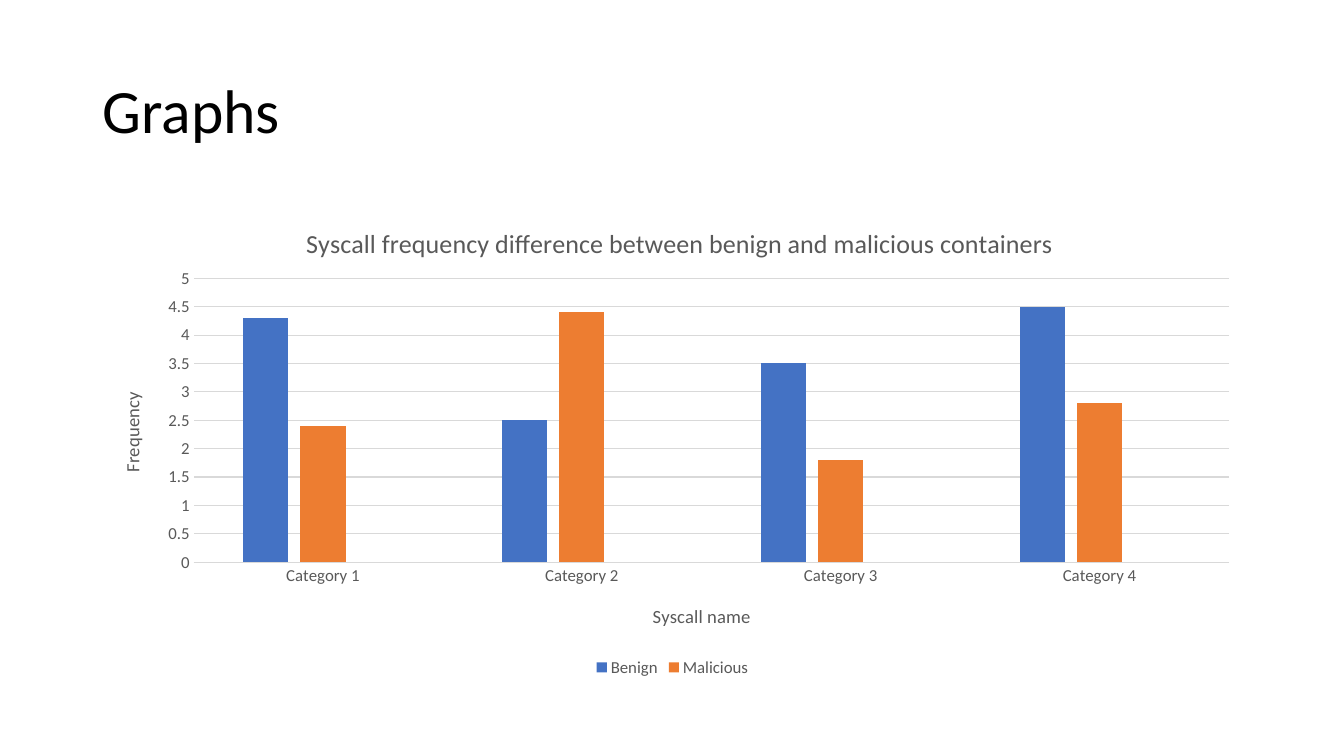
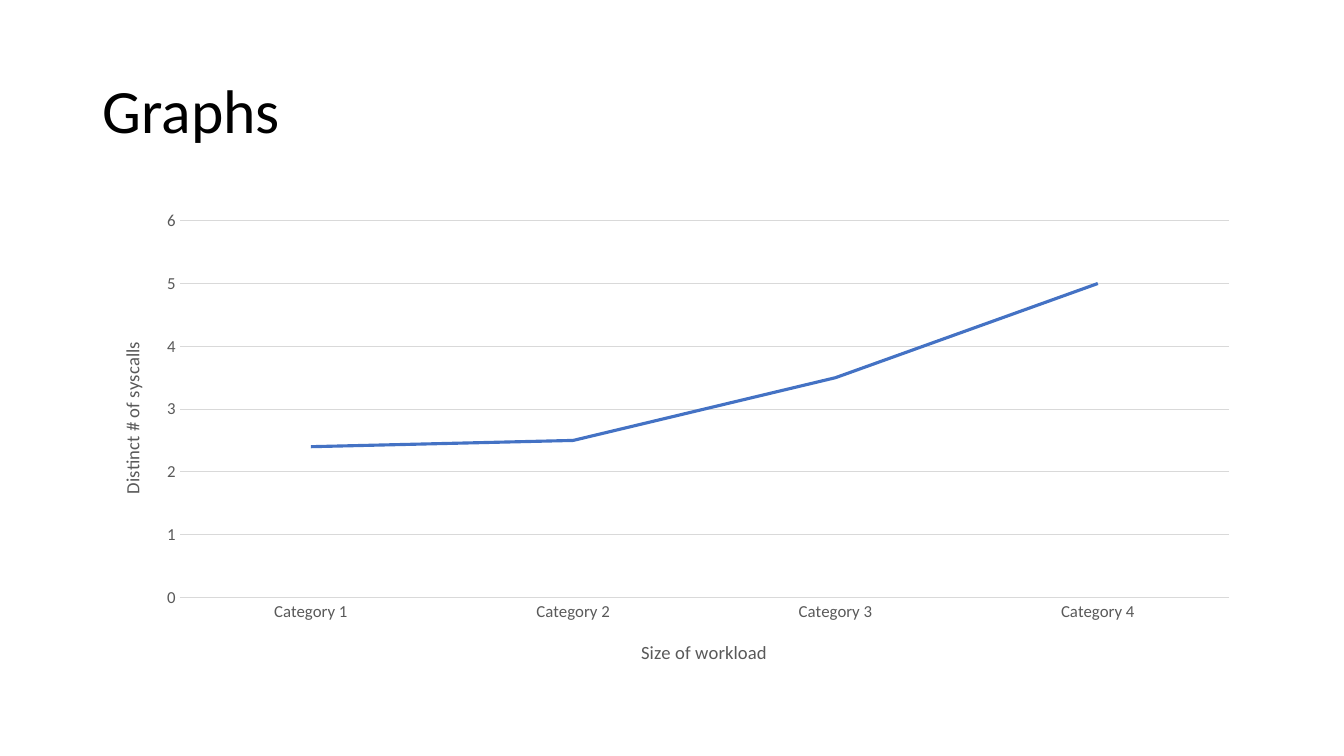
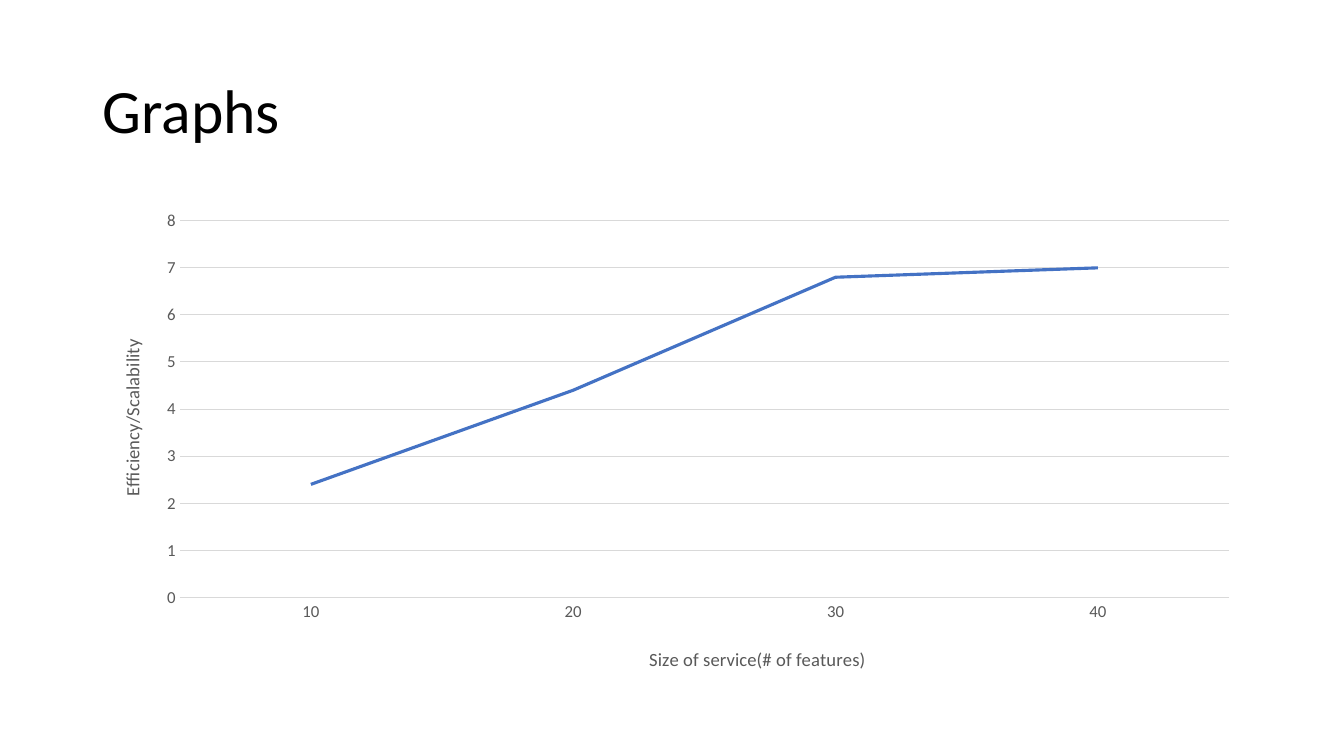
from lxml.etree import SubElement
from pptx import Presentation
from pptx.chart.data import CategoryChartData
from pptx.dml.color import RGBColor
from pptx.enum.chart import XL_CHART_TYPE, XL_LEGEND_POSITION, XL_TICK_MARK
from pptx.enum.text import MSO_ANCHOR
from pptx.oxml import parse_xml
from pptx.oxml.ns import nsdecls, qn
from pptx.util import Inches, Pt

BLACK = RGBColor(0x00, 0x00, 0x00)
GRAY = RGBColor(0x59, 0x59, 0x59)
RULE = RGBColor(0xD9, 0xD9, 0xD9)
BLUE = RGBColor(0x44, 0x72, 0xC4)
ORANGE = RGBColor(0xED, 0x7D, 0x31)
SILVER = RGBColor(0xA5, 0xA5, 0xA5)
CATEGORIES = [f"Category {number}" for number in range(1, 5)]


class Deck:
    """Holds the shared chart style and the current slide."""

    font = "Calibri"
    left, width = Inches(0.92), Inches(11.5)
    palette = (BLUE, ORANGE, SILVER)

    def __init__(self):
        self.presentation = Presentation()
        self.presentation.slide_width = Inches(13.33)
        self.presentation.slide_height = Inches(7.5)
        self.slide = None

    def style(self, font, size, color):
        font.name, font.size, font.bold = self.font, Pt(size), False
        font.color.rgb = color

    def add_slide(self, heading):
        self.slide = self.presentation.slides.add_slide(self.presentation.slide_layouts[6])
        frame = self.slide.shapes.add_textbox(
            self.left, Inches(0.4), self.width, Inches(1.45)).text_frame
        frame.word_wrap = True
        frame.vertical_anchor = MSO_ANCHOR.MIDDLE
        frame.text = heading
        frame.paragraphs[0].line_spacing = 0.9
        self.style(frame.paragraphs[0].runs[0].font, 44, BLACK)

    def place(self, element, **fractions):
        for old_layout in element.findall(qn("c:layout")):
            element.remove(old_layout)
        layout = parse_xml(f'<c:layout {nsdecls("c")}><c:manualLayout/></c:layout>')
        settings = {"xMode": "edge", "yMode": "edge", **fractions}
        if "w" in fractions:
            settings = {"layoutTarget": "inner", **settings}
        for tag, value in settings.items():
            SubElement(layout[0], qn(f"c:{tag}")).set("val", str(value))
        element.insert(0 if element.find(qn("c:tx")) is None else 1, layout)

    def add_title(self, title, text, size, x, y):
        title.text_frame.text = text
        self.style(title.text_frame.paragraphs[0].runs[0].font, size, GRAY)
        self.place(title._element, x=x, y=y)

    def add_axis(self, axis, text, x, y):
        axis.major_tick_mark = axis.minor_tick_mark = XL_TICK_MARK.NONE
        self.style(axis.tick_labels.font, 12, GRAY)
        self.add_title(axis.axis_title, text, 13.3, x, y)

    def add_chart(self, kind, categories, series, category_title, value_title,
                  plot, maximum, step=1):
        data = CategoryChartData()
        data.categories = categories
        for name, values in series.items():
            data.add_series(name, values)
        chart = self.slide.shapes.add_chart(
            kind, self.left, Inches(2), self.width, Inches(4.76), data).chart
        self.style(chart.font, 12, GRAY)
        chart.has_title = chart.has_legend = False
        chart.plots[0].vary_by_categories = False
        self.place(chart._chartSpace.chart.plotArea, **plot)

        self.add_axis(chart.category_axis, *category_title)
        chart.category_axis.format.line.color.rgb = RULE
        chart.category_axis.format.line.width = Pt(0.75)

        value_axis = chart.value_axis
        self.add_axis(value_axis, *value_title)
        value_axis.axis_title.text_frame._txBody.bodyPr.set("rot", "-5400000")
        value_axis.format.line.fill.background()
        value_axis.major_gridlines.format.line.color.rgb = RULE
        value_axis.major_gridlines.format.line.width = Pt(0.75)
        value_axis.minimum_scale, value_axis.maximum_scale = 0, maximum
        value_axis.major_unit = step
        return chart

    def add_columns(self, title, hidden_entry, **content):
        chart = self.add_chart(XL_CHART_TYPE.COLUMN_CLUSTERED, **content)
        chart.has_title = True
        self.add_title(chart.chart_title, title, 18.6, 0.18, 0.04)
        columns = chart.plots[0]
        columns.gap_width, columns.overlap = 219, -27
        for series, color in zip(columns.series, self.palette):
            series.format.fill.solid()
            series.format.fill.fore_color.rgb = color
        chart.has_legend = True
        legend = chart.legend
        legend.position = XL_LEGEND_POSITION.BOTTOM
        legend.include_in_layout = False
        self.style(legend.font, 12, GRAY)
        legend._element.find(qn("c:legendPos")).addnext(parse_xml(
            f'<c:legendEntry {nsdecls("c")}><c:idx val="{hidden_entry}"/>'
            '<c:delete val="1"/></c:legendEntry>'))

    def add_line(self, **content):
        chart = self.add_chart(XL_CHART_TYPE.LINE, **content)
        for series, color in zip(chart.plots[0].series, self.palette):
            series.smooth = False
            series.format.line.color.rgb = color
            series.format.line.width = Pt(2.25)


deck = Deck()
line_plot = {"x": 0.075, "y": 0.04, "w": 0.905, "h": 0.785}

deck.add_slide("Graphs")
deck.add_columns(
    "Syscall frequency difference between benign and malicious containers",
    hidden_entry=2,
    categories=CATEGORIES,
    series={"Benign": (4.3, 2.5, 3.5, 4.5),
            "Malicious": (2.4, 4.4, 1.8, 2.8),
            "Series 3": (None,) * 4},
    category_title=("Syscall name", 0.48, 0.83),
    value_title=("Frequency", 0.02, 0.39),
    plot={"x": 0.087, "y": 0.16, "w": 0.893, "h": 0.592},
    maximum=5, step=0.5)

deck.add_slide("Graphs")
deck.add_line(
    categories=CATEGORIES,
    series={"Series 1": (2.4, 2.5, 3.5, 5)},
    category_title=("Size of workload", 0.47, 0.905),
    value_title=("Distinct # of syscalls", 0.02, 0.285),
    plot=line_plot, maximum=6)

deck.add_slide("Graphs")
deck.add_line(
    categories=["10", "20", "30", "40"],
    series={"Series 1": (2.4, 4.4, 6.8, 7)},
    category_title=("Size of service(# of features)", 0.477, 0.92),
    value_title=("Efficiency/Scalability", 0.02, 0.28),
    plot=line_plot, maximum=8)

deck.presentation.save("out.pptx")
